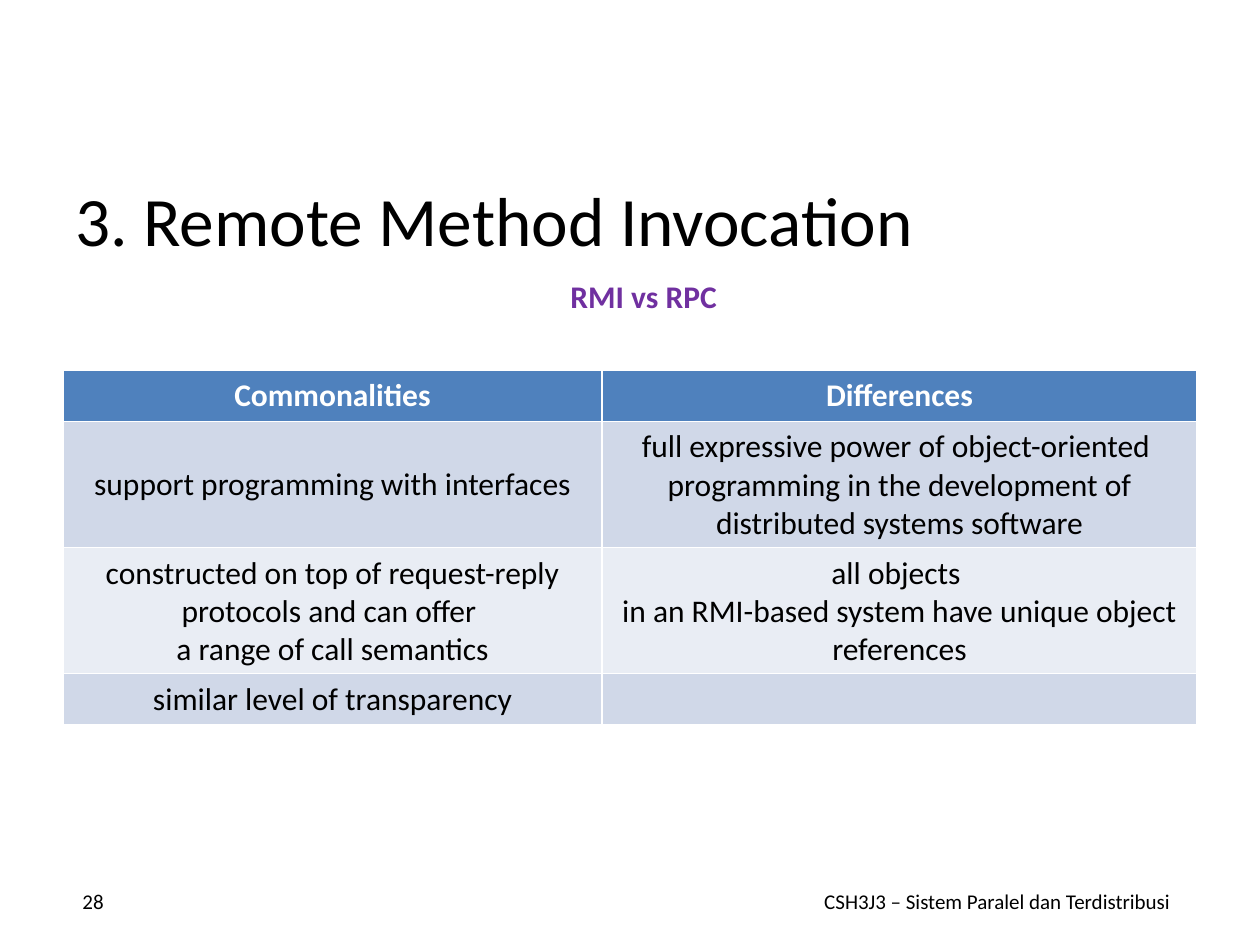
from pptx import Presentation
from pptx.dml.color import RGBColor
from pptx.enum.text import MSO_ANCHOR, PP_ALIGN
from pptx.util import Cm, Pt

LEFT, MID, RIGHT = PP_ALIGN.LEFT, PP_ALIGN.CENTER, PP_ALIGN.RIGHT

THEME = {
    "font": "Calibri",
    "ink": "000000", "white": "FFFFFF", "accent": "7030A0",
    "head": "4F81BD", "bands": ("D0D8E8", "E9EDF4"),
    "title": 39.6, "body": 18, "foot": 12,
}

TITLE = "3. Remote Method Invocation"
TOPIC = "RMI vs RPC"
COURSE = "CSH3J3 – Sistem Paralel dan Terdistribusi"
PAGE = "28"

ROWS = [
    ("Commonalities", "Differences"),
    ("support programming with interfaces",
     "full expressive power of object-oriented \n"
     "programming in the development of distributed systems software"),
    ("constructed on top of request-reply protocols and can offer \n"
     "a range of call semantics",
     "all objects \nin an RMI-based system have unique object references"),
    ("similar level of transparency", ""),
]
WIDTHS = (10.87, 11.99)
HEIGHTS = (1.03, 2.54, 2.54, 1.03)
EDGE, WIDE = 1.27, 22.86
FOOT = 17.65


def write(frame, text, size="body", color="ink", bold=False, align=LEFT):
    frame.text = text
    for para in frame.paragraphs:
        para.alignment = align
        font = para.font
        font.name, font.size, font.bold = THEME["font"], Pt(THEME[size]), bold
        font.color.rgb = RGBColor.from_string(THEME[color])
        for run in para.runs:
            run.font.name, run.font.size, run.font.bold = font.name, font.size, bold
            run.font.color.rgb = font.color.rgb


def label(slide, area, text, anchor=MSO_ANCHOR.MIDDLE, **form):
    frame = slide.shapes.add_textbox(*map(Cm, area)).text_frame
    frame.word_wrap = True
    frame.vertical_anchor = anchor
    write(frame, text, **form)


def grid(slide):
    area = (EDGE, 7.47, WIDE, sum(HEIGHTS))
    table = slide.shapes.add_table(len(ROWS), len(WIDTHS), *map(Cm, area)).table
    for col, width in zip(table.columns, WIDTHS):
        col.width = Cm(width)
    for i, (texts, height) in enumerate(zip(ROWS, HEIGHTS)):
        table.rows[i].height = Cm(height)
        head = i == 0
        fill = THEME["head"] if head else THEME["bands"][(i - 1) % 2]
        for cell, text in zip(table.rows[i].cells, texts):
            cell.fill.solid()
            cell.fill.fore_color.rgb = RGBColor.from_string(fill)
            cell.vertical_anchor = MSO_ANCHOR.MIDDLE
            cell.margin_left = cell.margin_right = Cm(0.2)
            write(cell.text_frame, text, bold=head, align=MID,
                  color="white" if head else "ink")


def main():
    deck = Presentation()
    deck.slide_width, deck.slide_height = Cm(25.4), Cm(19.05)
    slide = deck.slides.add_slide(deck.slide_layouts[6])
    label(slide, (EDGE, 3.61, WIDE, 1.6), TITLE, size="title")
    grid(slide)
    label(slide, (11.25, 5.46, 4.65, 1.02), TOPIC, anchor=MSO_ANCHOR.TOP,
          color="accent", bold=True)
    label(slide, (16.08, FOOT, 8.05, 1.02), COURSE, size="foot", align=MID)
    label(slide, (EDGE, FOOT, 1.07, 1.02), PAGE, size="foot", align=RIGHT)
    deck.save("out.pptx")


if __name__ == "__main__":
    main()
